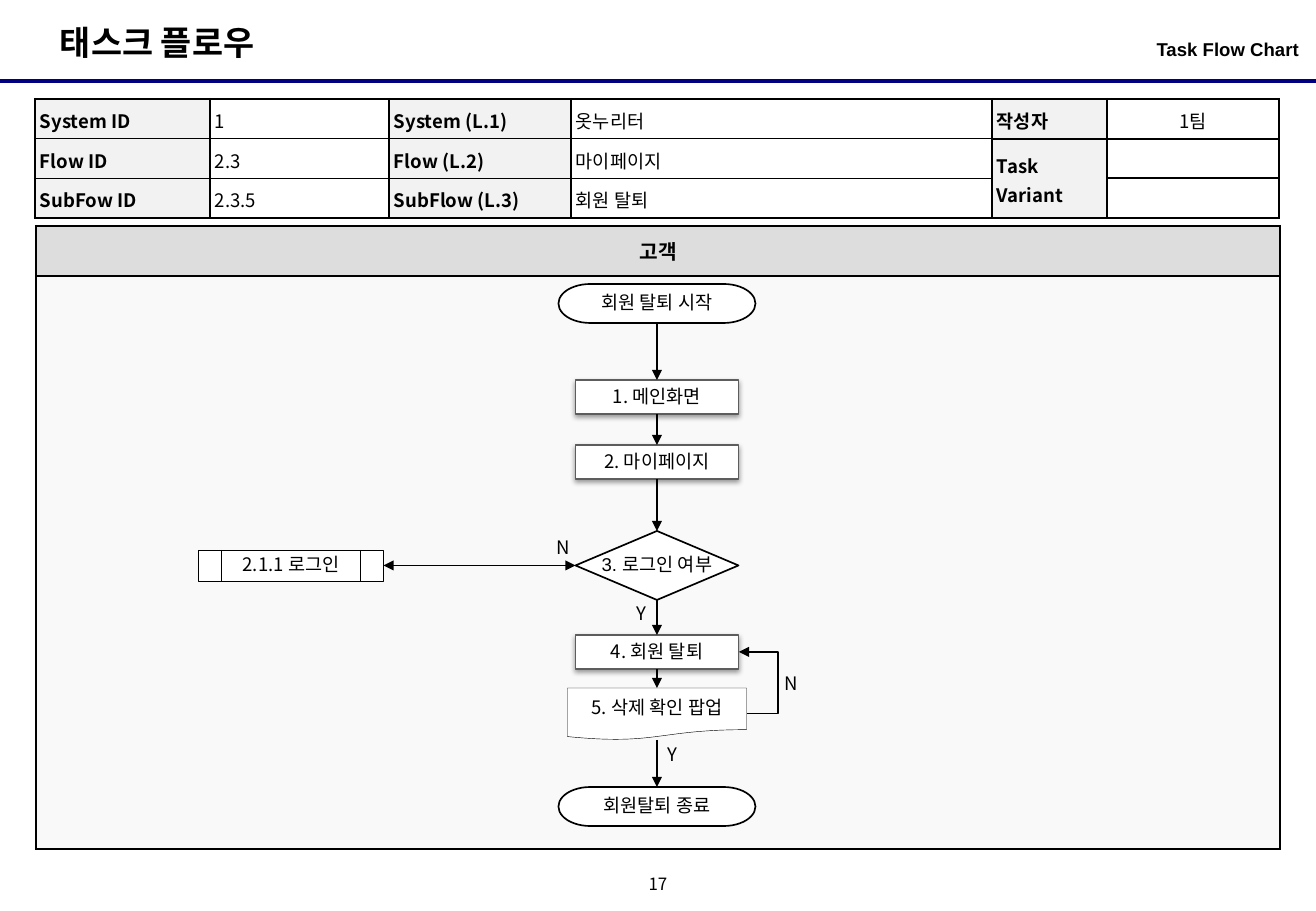
from dataclasses import dataclass
from itertools import pairwise

from lxml.etree import SubElement
from pptx import Presentation
from pptx.dml.color import RGBColor
from pptx.enum.shapes import MSO_CONNECTOR, MSO_SHAPE
from pptx.enum.text import MSO_ANCHOR, PP_ALIGN
from pptx.oxml.ns import qn
from pptx.util import Inches, Pt

PX = 914400 / 121.5


@dataclass(frozen=True)
class Theme:
    black: str = "000000"
    white: str = "FFFFFF"
    rule: str = "000080"
    label: str = "F2F2F2"
    lane: str = "DDDDDD"
    panel: str = "F9F9F9"
    box_line: str = "5D5D5D"
    font: str = "Noto Sans CJK KR"
    latin: str = "Arial"
    title: float = 20
    lane_head: float = 12
    body: float = 11
    page: float = 10
    thick: float = 1.5
    thin: float = 1
    hair: float = 0.75


T = Theme()


def px(*values):
    return [round(v * PX) for v in values]


def rgb(color):
    return RGBColor.from_string(color)


def write(tf, text, size=T.body, bold=False, font=T.font, align=PP_ALIGN.LEFT, spacing=None):
    tf.text = text
    p = tf.paragraphs[0]
    p.alignment = align
    p.line_spacing = spacing
    if not text:
        p._p.get_or_add_endParaRPr().set("sz", str(size * 100))
    for r in p.runs:
        r.font.name, r.font.size, r.font.bold = font, Pt(size), bold
        r.font.color.rgb = rgb(T.black)
        SubElement(r.font._element, qn("a:ea"), typeface=T.font)


def add_text(s, box, text, wrap=True, margins=(0.1, 0.05), anchor=MSO_ANCHOR.TOP, **style):
    tf = s.shapes.add_textbox(*px(*box)).text_frame
    tf.word_wrap = wrap
    tf.vertical_anchor = anchor
    tf.margin_left = tf.margin_right = Inches(margins[0])
    tf.margin_top = tf.margin_bottom = Inches(margins[1])
    write(tf, text, **style)
    return tf


def add_line(s, kind, start, end, color=T.black, width=T.hair, ends=()):
    c = s.shapes.add_connector(kind, *px(*start, *end))
    c.line.color.rgb = rgb(color)
    c.line.width = Pt(width)
    for end_name in ends:
        SubElement(c.line._get_or_add_ln(), qn(f"a:{end_name}"), type="triangle")
    SubElement(c._element.spPr, qn("a:effectLst"))
    return c


def style_cell(cell, fill, borders):
    """Borders are widths in the order left, right, top, bottom."""
    tcPr = cell._tc.get_or_add_tcPr()
    for side, width in zip("LRTB", borders):
        ln = SubElement(tcPr, qn(f"a:ln{side}"), w=str(Pt(width)))
        SubElement(SubElement(ln, qn("a:solidFill")), qn("a:srgbClr"), val=T.black)
    if fill:
        cell.fill.solid()
        cell.fill.fore_color.rgb = rgb(fill)
    else:
        cell.fill.background()


def add_grid(s, x, y, cols, rows):
    table = s.shapes.add_table(len(rows), len(cols), *px(x, y, sum(cols), sum(rows))).table
    table.first_row = table.horz_banding = False
    for col, w in zip(table.columns, px(*cols)):
        col.width = w
    for row, h in zip(table.rows, px(*rows)):
        row.height = h
    return table


# Title, subtitle and rule across the top
def header(s, x, y, w, h):
    add_line(s, MSO_CONNECTOR.STRAIGHT, (x, y + h), (x + w, y + h), T.rule, 2.25)
    add_text(s, (x + 48, y + 16, 240, 53), "태스크 플로우", wrap=False, size=T.title, bold=True)
    tf = add_text(s, (x + w - 419, y + 32, 402, 47), "Task Flow Chart", margins=(0, 0.05),
                  bold=True, font=T.latin, align=PP_ALIGN.RIGHT)
    tf.paragraphs[0].space_before = Pt(2)


# Table of flow identifiers
def info_table(s, x, y):
    rows = [
        ("System ID", "1", "System (L.1)", "옷누리터", "작성자", "1팀"),
        ("Flow ID", "2.3", "Flow (L.2)", "마이페이지", "Task Variant", ""),
        ("SubFow ID", "2.3.5", "SubFlow (L.3)", "회원 탈퇴", "", ""),
    ]
    table = add_grid(s, x, y, (175, 179, 182, 421, 115, 172), (39.67,) * 3)
    for i, texts in enumerate(rows):
        for j, text in enumerate(texts):
            cell, is_label, is_right = table.cell(i, j), j % 2 == 0, j >= 4
            cell.margin_left = cell.margin_right = Inches(0.04)
            cell.margin_top = cell.margin_bottom = Inches(0.04)
            cell.vertical_anchor = MSO_ANCHOR.MIDDLE
            write(cell.text_frame, text, bold=is_label, spacing=1.1,
                  align=PP_ALIGN.CENTER if j == 5 else PP_ALIGN.LEFT)
            outer = (j == 0, j == 5, i == 0 or is_right, i == 2 or is_right)
            style_cell(cell, T.label if is_label else None,
                       [T.thick if edge else T.thin for edge in outer])
    table.cell(1, 4).merge(table.cell(2, 4))


# Swimlane frame with its heading
def lane(s, x, y, w, head_h, body_h):
    table = add_grid(s, x, y, (w,), (head_h, body_h))
    head, body = table.cell(0, 0), table.cell(1, 0)
    head.vertical_anchor = MSO_ANCHOR.MIDDLE
    write(head.text_frame, "고객", size=T.lane_head, bold=True, align=PP_ALIGN.CENTER)
    style_cell(head, T.lane, (T.thick, T.hair, T.thick, T.hair))
    style_cell(body, T.panel, (T.thick, T.hair, T.hair, T.thick))


def add_node(s, kind, cx, top, w, h, text, font, line, width, shadow):
    sp = s.shapes.add_shape(kind, *px(cx - w / 2, top, w, h))
    sp.shadow.inherit = False
    sp.fill.solid()
    sp.fill.fore_color.rgb = rgb(T.white)
    sp.line.color.rgb = rgb(line)
    sp.line.width = Pt(width)
    if shadow:
        effects = sp._element.spPr.find(qn("a:effectLst"))
        outer = SubElement(effects, qn("a:outerShdw"), blurRad=str(Pt(3.1)), dist=str(Pt(1.6)),
                           dir="5400000", algn="t", rotWithShape="0")
        color = SubElement(outer, qn("a:srgbClr"), val=T.black)
        SubElement(color, qn("a:alpha"), val="38000")
    tf = sp.text_frame
    tf.word_wrap = kind != MSO_SHAPE.FLOWCHART_DECISION
    tf.vertical_anchor = MSO_ANCHOR.MIDDLE
    tf.margin_left = tf.margin_right = Inches(0.02)
    tf.margin_top = tf.margin_bottom = 0
    write(tf, text, font=font, align=PP_ALIGN.CENTER, spacing=0.9)
    return sp


# Flow of steps down the middle of the lane
def flow(s, x, y, w):
    cx = x + w / 2 - 1
    # kind: preset, width, height, font, line colour, line width, shadow
    kinds = {
        "end": (MSO_SHAPE.FLOWCHART_TERMINATOR, 197, 39, T.latin, T.black, T.thin, False),
        "step": (MSO_SHAPE.FLOWCHART_PROCESS, 163, 34, T.font, T.box_line, T.hair, True),
        "choice": (MSO_SHAPE.FLOWCHART_DECISION, 163, 69, T.latin, T.black, T.thin, False),
        "popup": (MSO_SHAPE.FLOWCHART_DOCUMENT, 179, 52, T.font, T.black, 0.25, False),
        "call": (MSO_SHAPE.FLOWCHART_PREDEFINED_PROCESS, 185, 31, T.font, T.black, 0.25, False),
    }

    def node(name, node_cx, top, text):
        kind, nw, nh, *style = kinds[name]
        return add_node(s, kind, node_cx, y + top, nw, nh, text, *style)

    def link(a, a_site, b, b_site, ends=("tailEnd",)):
        c = add_line(s, MSO_CONNECTOR.STRAIGHT, (0, 0), (0, 0), ends=ends)
        c.begin_connect(a, a_site)
        c.end_connect(b, b_site)

    steps = [node(name, cx, top, text) for name, top, text in (
        ("end", 8, "회원 탈퇴 시작"),
        ("step", 104, "1. 메인화면"),
        ("step", 169, "2. 마이페이지"),
        ("choice", 255, "3. 로그인 여부"),
        ("step", 359, "4. 회원 탈퇴"),
        ("popup", 412, "5. 삭제 확인 팝업"),
        ("end", 511, "회원탈퇴 종료"),
    )]
    for a, b in pairwise(steps):
        link(a, 2, b, 0)
    login = node("call", x + 255, 274, "2.1.1 로그인")
    link(login, 3, steps[3], 1, ("headEnd", "tailEnd"))

    # Return from the popup to the withdrawal step
    back = add_line(s, MSO_CONNECTOR.ELBOW, (cx + 90, y + 438), (cx + 82, y + 376),
                    ends=("tailEnd",))
    guides = back._element.spPr.find(qn("a:prstGeom")).find(qn("a:avLst"))
    SubElement(guides, qn("a:gd"), name="adj1", fmla="val -387500")

    # Branch labels
    for text, dx, top in (("N", -112, 254), ("Y", -32, 320), ("Y", -1, 461), ("N", 116, 390)):
        add_text(s, (cx + dx, y + top, 60, 35), text)


# Page number centred at the foot
def footer(s, x, y, w, h):
    add_text(s, (x, y, w, h), "17", margins=(0, 0), anchor=MSO_ANCHOR.MIDDLE,
             size=T.page, align=PP_ALIGN.CENTER)


prs = Presentation()
prs.slide_width, prs.slide_height = px(1316, 911)
s = prs.slides.add_slide(prs.slide_layouts[6])
header(s, 0, 0, 1316, 81)
info_table(s, 35, 99)
lane(s, 36, 226, 1244, 50, 573)
flow(s, 36, 276, 1244)
footer(s, 638, 870, 40, 28)
prs.save("out.pptx")
